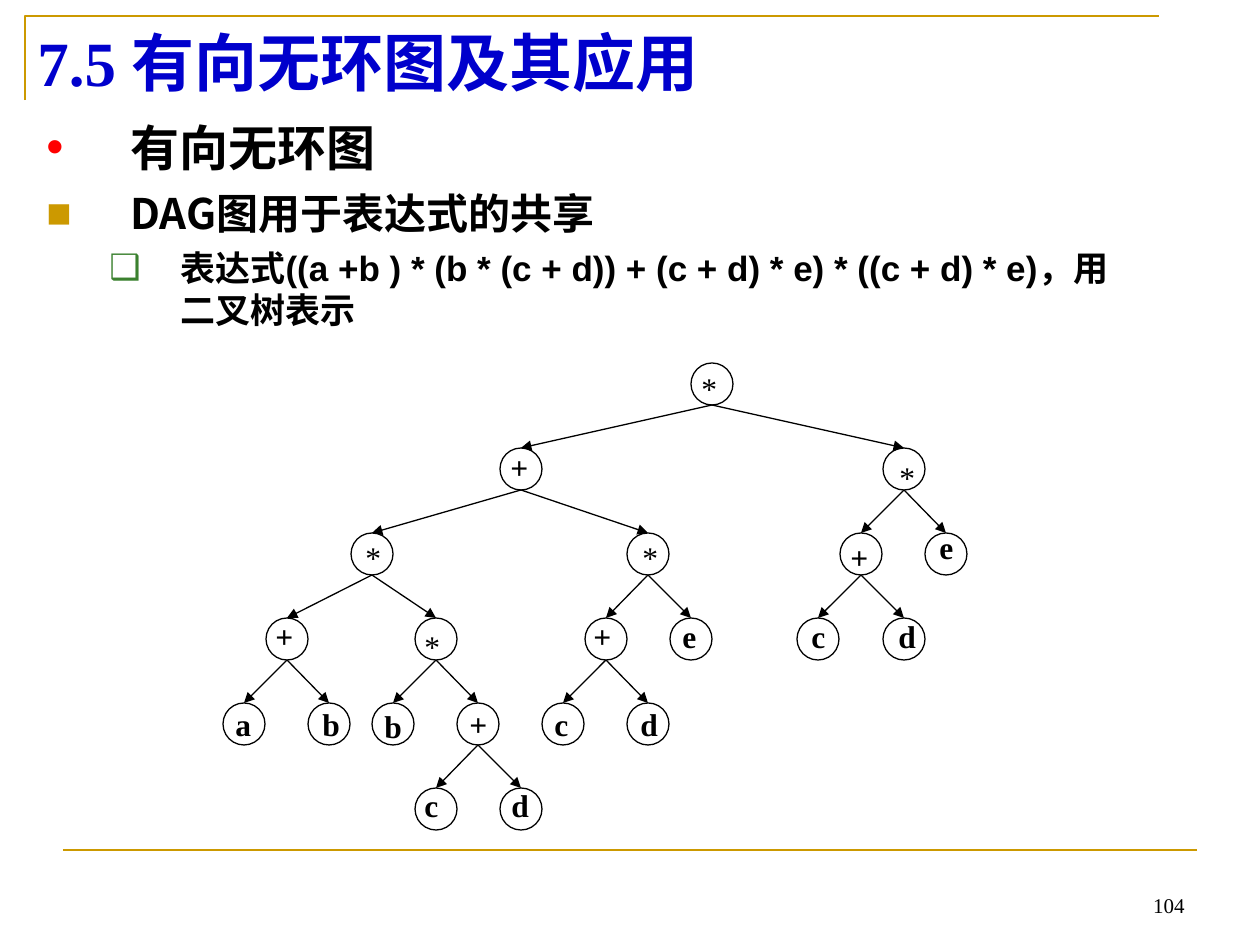
from lxml.etree import SubElement
from pptx import Presentation
from pptx.dml.color import RGBColor
from pptx.enum.shapes import MSO_CONNECTOR, MSO_SHAPE
from pptx.enum.text import MSO_ANCHOR, MSO_AUTO_SIZE, PP_ALIGN
from pptx.oxml.ns import qn
from pptx.util import Pt

PX = 914400 // 126
BLACK = RGBColor(0, 0, 0)
WHITE = RGBColor(255, 255, 255)
GOLD = RGBColor(0xCC, 0x99, 0)
BLUE = RGBColor(0, 0, 0xCC)
SERIF, SANS, CJK = "Times New Roman", "Arial", "Noto Sans CJK SC"

TITLE = "7.5 有向无环图及其应用"
PAGE_NUMBER = "104"

# text, size, font, bullet, bullet colour, left margin px, hanging px, space before, line height
BODY = [
    ("有向无环图", 28, CJK, "•", "FF0000", 84, 84, 0, 34),
    ("DAG图用于表达式的共享", 24, CJK, "■", "CC9900", 84, 84, 6, 29),
    ("表达式((a +b ) * (b * (c + d)) + (c + d) * e) * ((c + d) * e)，用二叉树表示",
     20, SANS, "❑", "3B812F", 134, 71, 5, 24),
]

# symbol, centre x, level, parent index, label left, label top
NODES = [
    ("*", 712, 0, None, 689, 363),
    ("+", 521, 1, 0, 498, 442),
    ("*", 904, 1, 0, 887, 452),
    ("*", 372, 2, 1, 353, 532),
    ("*", 648, 2, 1, 630, 532),
    ("+", 861, 2, 2, 838, 532),
    ("e", 946, 2, 2, 927, 522),
    ("+", 287, 3, 3, 263, 611),
    ("*", 436, 3, 3, 412, 621),
    ("+", 606, 3, 4, 581, 611),
    ("e", 691, 3, 4, 670, 611),
    ("c", 818, 3, 5, 799, 611),
    ("d", 904, 3, 5, 886, 611),
    ("a", 244, 4, 7, 223, 699),
    ("b", 329, 4, 7, 310, 699),
    ("b", 393, 4, 8, 372, 701),
    ("+", 478, 4, 8, 457, 699),
    ("c", 563, 4, 9, 542, 699),
    ("d", 648, 4, 9, 628, 699),
    ("c", 436, 5, 16, 412, 780),
    ("d", 521, 5, 16, 499, 780),
]
LABEL_WIDTHS = {"*": 40, "+": 43, "a": 40, "b": 43, "c": 39, "d": 43, "e": 39}
TREE_TOP, LEVEL_PITCH, DIAMETER = 363, 85, 42


def px(*lengths):
    return [length * PX for length in lengths]


def level_top(level):
    return TREE_TOP + level * LEVEL_PITCH


def style(paragraph, size, font, color=BLACK, bold=False):
    paragraph.font.size = Pt(size)
    paragraph.font.name = font
    paragraph.font.bold = bold
    paragraph.font.color.rgb = color
    for run in paragraph.runs:
        SubElement(run._r.get_or_add_rPr(), qn("a:ea"), typeface=CJK)


def add_text_box(slide, box, wrap=True, anchor=MSO_ANCHOR.TOP):
    frame = slide.shapes.add_textbox(*px(*box)).text_frame
    frame.word_wrap = wrap
    frame.vertical_anchor = anchor
    return frame


def add_line(slide, start, end, color, width, arrow=False):
    line = slide.shapes.add_connector(MSO_CONNECTOR.STRAIGHT, *px(*start, *end))
    line.line.color.rgb = color
    line.line.width = Pt(width)
    if arrow:
        SubElement(line.line._get_or_add_ln(), qn("a:tailEnd"), type="triangle")
    SubElement(line._element.spPr, qn("a:effectLst"))


def add_bullet(paragraph, symbol, color, margin, hanging):
    properties = paragraph._p.get_or_add_pPr()
    properties.set("marL", str(margin * PX))
    properties.set("indent", str(-hanging * PX))
    bullet_color = SubElement(properties, qn("a:buClr"))
    SubElement(bullet_color, qn("a:srgbClr"), val=color)
    SubElement(properties, qn("a:buFont"), typeface=SANS)
    SubElement(properties, qn("a:buChar"), char=symbol)


def add_frame(slide):
    builder = slide.shapes.build_freeform(25, 100, scale=PX)
    builder.add_line_segments([(25, 16), (1159, 16)], close=False)
    corner = builder.convert_to_shape()
    corner.shadow.inherit = False
    corner.fill.background()
    corner.line.color.rgb = GOLD
    corner.line.width = Pt(1.5)
    add_line(slide, (63, 850), (1197, 850), GOLD, 1.5)


def add_texts(slide):
    title = add_text_box(slide, (25, 16, 1134, 90), anchor=MSO_ANCHOR.MIDDLE).paragraphs[0]
    title.text = TITLE
    style(title, 36, SERIF, BLUE, True)

    number = add_text_box(slide, (903, 861, 294, 63), anchor=MSO_ANCHOR.BOTTOM).paragraphs[0]
    number.text = PAGE_NUMBER
    number.alignment = PP_ALIGN.RIGHT
    style(number, 12, SERIF)

    body = add_text_box(slide, (34, 106, 1121, 635))
    body.margin_top = 11 * PX
    for index, (text, size, font, symbol, color, margin, hanging, before, height) in enumerate(BODY):
        paragraph = body.add_paragraph() if index else body.paragraphs[0]
        paragraph.text = text
        paragraph.line_spacing = Pt(height)
        paragraph.space_before = Pt(before)
        add_bullet(paragraph, symbol, color, margin, hanging)
        style(paragraph, size, font, bold=True)


def add_tree(slide):
    for _, center, level, *_ in NODES:
        circle = slide.shapes.add_shape(
            MSO_SHAPE.OVAL, *px(center - DIAMETER // 2, level_top(level), DIAMETER, DIAMETER))
        circle.shadow.inherit = False
        circle.fill.solid()
        circle.fill.fore_color.rgb = WHITE
        circle.line.color.rgb = BLACK
        circle.line.width = Pt(0.75)
    for _, center, level, parent, *_ in NODES:
        if parent is not None:
            start = (NODES[parent][1], level_top(level - 1) + DIAMETER)
            add_line(slide, start, (center, level_top(level)), BLACK, 0.75, arrow=True)
    for symbol, _, _, _, left, top in NODES:
        frame = add_text_box(slide, (left, top, LABEL_WIDTHS[symbol], 50), wrap=False)
        frame.auto_size = MSO_AUTO_SIZE.SHAPE_TO_FIT_TEXT
        label = frame.paragraphs[0]
        label.text = symbol
        style(label, 18, SERIF, bold=symbol != "*")


def main():
    presentation = Presentation()
    presentation.slide_width, presentation.slide_height = px(1260, 945)
    slide = presentation.slides.add_slide(presentation.slide_layouts[6])
    add_frame(slide)
    add_texts(slide)
    add_tree(slide)
    presentation.save("out.pptx")


if __name__ == "__main__":
    main()
